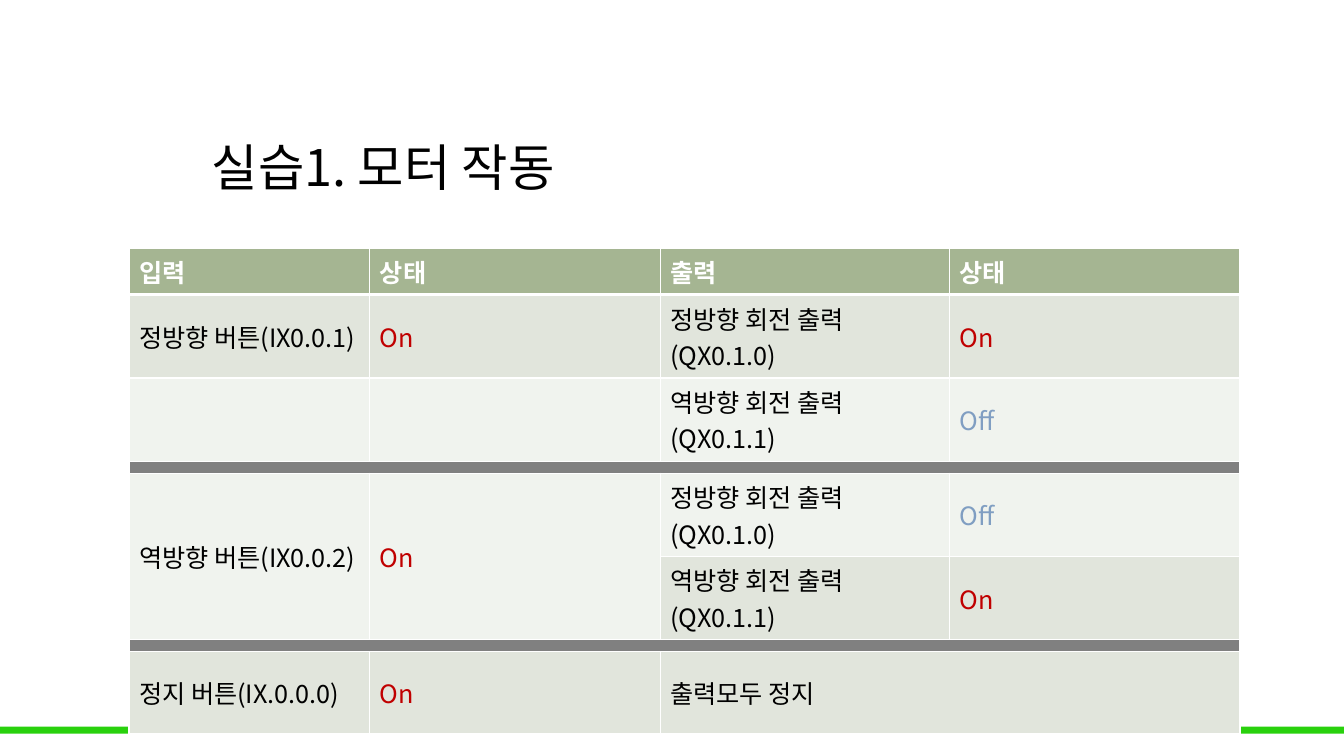
from dataclasses import dataclass

from lxml.etree import SubElement
from pptx import Presentation
from pptx.dml.color import RGBColor
from pptx.enum.shapes import MSO_SHAPE
from pptx.enum.text import MSO_ANCHOR, MSO_AUTO_SIZE, PP_ALIGN
from pptx.oxml.ns import qn
from pptx.util import Cm, Pt


@dataclass(frozen=True)
class Theme:
    font: str = "Noto Sans CJK KR"
    title_size: int = 36
    cell_size: int = 18
    text: str = "000000"
    white: str = "FFFFFF"
    header: str = "A5B592"
    odd_row: str = "E1E5DC"
    even_row: str = "F0F3EE"
    divider: str = "808080"
    on: str = "C00000"
    off: str = "809EC2"
    footer: str = "29D10D"


THEME = Theme()
FORWARD_OUTPUT = "정방향 회전 출력(QX0.1.0)"
REVERSE_OUTPUT = "역방향 회전 출력(QX0.1.1)"
DIVIDER = ["", "", "", ""]
ROWS = [
    ["입력", "상태", "출력", "상태"],
    ["정방향 버튼(IX0.0.1)", "On", FORWARD_OUTPUT, "On"],
    ["", "", REVERSE_OUTPUT, "Off"],
    DIVIDER,
    ["역방향 버튼(IX0.0.2)", "On", FORWARD_OUTPUT, "Off"],
    ["", "", REVERSE_OUTPUT, "On"],
    DIVIDER,
    ["정지 버튼(IX.0.0.0)", "On", "출력모두 정지", ""],
]
MERGES = [((3, 0), (3, 3)), ((4, 0), (5, 0)), ((4, 1), (5, 1)),
          ((6, 0), (6, 3)), ((7, 2), (7, 3))]
COLUMN_WIDTHS = [6.07, 7.32, 7.29, 7.32]
ROW_HEIGHTS = [1.15, 2.1, 2.1, 0.3, 2.1, 2.1, 0.3, 2.06]


def color(value):
    return RGBColor.from_string(value)


def format_span(span, size, text_color, bold=False):
    span.font.name = THEME.font
    span.font.size = Pt(size)
    span.font.bold = bold
    span.font.color.rgb = color(text_color)
    SubElement(span.font._element, qn("a:ea"), typeface=THEME.font)


def add_footer_bar(page, left, top, width, height):
    bar = page.shapes.add_shape(MSO_SHAPE.RECTANGLE, Cm(left), Cm(top), Cm(width), Cm(height))
    bar.shadow.inherit = False
    bar.fill.solid()
    bar.fill.fore_color.rgb = color(THEME.footer)
    bar.line.fill.background()


def add_title(page, left, top, width, height):
    title = page.shapes.title
    title.left, title.top, title.width, title.height = Cm(left), Cm(top), Cm(width), Cm(height)
    frame = title.text_frame
    frame.text = "실습1. 모터 작동"
    frame.auto_size = MSO_AUTO_SIZE.NONE
    frame.word_wrap = True
    frame.vertical_anchor = MSO_ANCHOR.MIDDLE
    para = frame.paragraphs[0]
    para.alignment = PP_ALIGN.LEFT
    para.line_spacing = 0.9
    format_span(para.runs[0], THEME.title_size, THEME.text)


def add_borders(cell, bottom_width):
    properties = cell._tc.get_or_add_tcPr()
    for side, width in (("L", 1), ("R", 1), ("T", 1), ("B", bottom_width)):
        line = SubElement(properties, qn(f"a:ln{side}"), w=str(Pt(width)))
        fill = SubElement(line, qn("a:solidFill"))
        SubElement(fill, qn("a:srgbClr"), val=THEME.white)


def format_cell(cell, text, row_number):
    is_header = row_number == 0
    is_divider = ROWS[row_number] is DIVIDER
    add_borders(cell, 3 if is_header else 1)
    if is_header:
        background = THEME.header
    elif is_divider:
        background = THEME.divider
    else:
        background = THEME.odd_row if row_number % 2 else THEME.even_row
    cell.fill.solid()
    cell.fill.fore_color.rgb = color(background)
    cell.vertical_anchor = MSO_ANCHOR.TOP if is_header else MSO_ANCHOR.MIDDLE
    para = cell.text_frame.paragraphs[0]
    if text:
        para.text = text
        text_color = {"On": THEME.on, "Off": THEME.off}.get(text, THEME.text)
        format_span(para.runs[0], THEME.cell_size,
                    THEME.white if is_header else text_color, is_header)
    else:
        size = 1 if is_divider else THEME.cell_size
        SubElement(para._p, qn("a:endParaRPr"), sz=str(size * 100))


def add_motor_table(page, left, top, width, height):
    frame = page.shapes.add_table(len(ROWS), len(COLUMN_WIDTHS),
                                  Cm(left), Cm(top), Cm(width), Cm(height))
    table = frame.table
    table.horz_banding = False
    for column, column_width in zip(table.columns, COLUMN_WIDTHS):
        column.width = Cm(column_width)
    for row, row_height in zip(table.rows, ROW_HEIGHTS):
        row.height = Cm(row_height)
    for row_number, texts in enumerate(ROWS):
        for column_number, text in enumerate(texts):
            format_cell(table.cell(row_number, column_number), text, row_number)
    for first, last in MERGES:
        table.cell(*first).merge(table.cell(*last))


def main():
    deck = Presentation()
    deck.slide_width, deck.slide_height = Cm(33.87), Cm(19.05)
    page = deck.slides.add_slide(deck.slide_layouts[5])
    add_footer_bar(page, 0, 18.31, 33.87, 0.18)
    add_title(page, 5.08, 3.12, 24.36, 2.36)
    add_motor_table(page, 3.25, 6.25, sum(COLUMN_WIDTHS), sum(ROW_HEIGHTS))
    deck.save("out.pptx")


if __name__ == "__main__":
    main()
